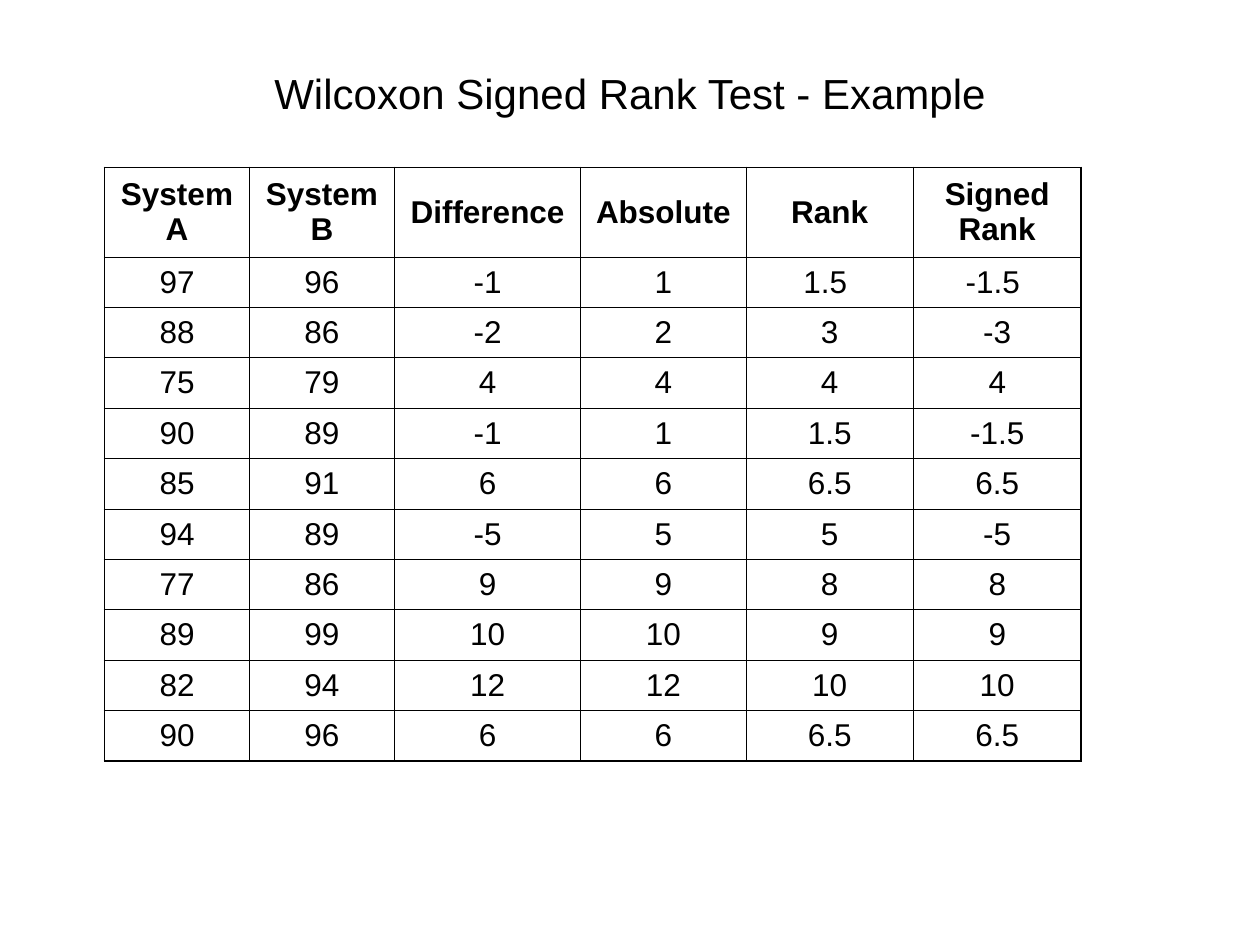
from dataclasses import dataclass

from lxml.etree import SubElement
from pptx import Presentation
from pptx.dml.color import RGBColor as RGB
from pptx.enum.text import MSO_ANCHOR as ANCHOR, PP_ALIGN as ALIGN
from pptx.oxml.ns import qn
from pptx.util import Inches, Pt


@dataclass(frozen=True)
class Theme:
    font: str = "Arial"
    ink: str = "000000"
    paper: str = "FFFFFF"
    title_size: float = 24
    cell_size: float = 18
    cell_gap: float = 4.5
    outer_line: float = 1.08
    inner_line: float = 0.45


def write(tf, text, theme, size, bold=False, before=0):
    """Put one centred paragraph into a text frame."""
    p = tf.paragraphs[0]
    p.alignment = ALIGN.CENTER
    p.space_before = Pt(before)
    r = p.add_run()
    r.text = text
    r.font.name = theme.font
    r.font.size = Pt(size)
    r.font.bold = bold
    r.font.color.rgb = RGB.from_string(theme.ink)


class Deck:
    def __init__(self, theme, width, height):
        self.theme = theme
        self.prs = Presentation()
        self.prs.slide_width = Inches(width)
        self.prs.slide_height = Inches(height)

    def slide(self):
        self.s = self.prs.slides.add_slide(self.prs.slide_layouts[5])
        fill = self.s.background.fill
        fill.solid()
        fill.fore_color.rgb = RGB.from_string(self.theme.paper)

    def title(self, text, left, top, width, height):
        sp = self.s.shapes.title
        sp.left, sp.top = Inches(left), Inches(top)
        sp.width, sp.height = Inches(width), Inches(height)
        tf = sp.text_frame
        tf.word_wrap = True
        tf.vertical_anchor = ANCHOR.MIDDLE
        write(tf, text, self.theme, self.theme.title_size)

    def border(self, cell, side, width):
        ln = SubElement(cell._tc.get_or_add_tcPr(), qn(f"a:ln{side}"), w=str(Pt(width)))
        fill = SubElement(ln, qn("a:solidFill"))
        SubElement(fill, qn("a:srgbClr"), val=self.theme.ink)

    def table(self, rows, left, top, widths, heights):
        t = self.theme
        frame = self.s.shapes.add_table(
            len(rows), len(widths), Inches(left), Inches(top),
            Inches(sum(widths)), Inches(sum(heights)))
        table = frame.table
        table.horz_banding = False
        for col, width in zip(table.columns, widths):
            col.width = Inches(width)
        for row, height in zip(table.rows, heights):
            row.height = Inches(height)
        last_row, last_col = len(rows) - 1, len(widths) - 1
        for i, values in enumerate(rows):
            for j, text in enumerate(values):
                cell = table.cell(i, j)
                cell.vertical_anchor = ANCHOR.MIDDLE
                write(cell.text_frame, text, t, t.cell_size, bold=i == 0, before=t.cell_gap)
                # Heavier lines on the outer edge only
                edges = {"L": j == 0, "R": j == last_col, "T": i == 0, "B": i == last_row}
                for side, outer in edges.items():
                    self.border(cell, side, t.outer_line if outer else t.inner_line)
                cell.fill.background()


deck = Deck(Theme(), 10, 7.5)
deck.slide()

# Title
deck.title("Wilcoxon Signed Rank Test - Example", 0.5, 0.3, 9, 0.87)

# Paired scores and their ranks
rows = [
    ("System A", "System B", "Difference", "Absolute", "Rank", "Signed Rank"),
    ("97", "96", "-1", "1", "1.5 ", "-1.5 "),
    ("88", "86", "-2", "2", "3", "-3"),
    ("75", "79", "4", "4", "4", "4"),
    ("90", "89", "-1", "1", "1.5", "-1.5"),
    ("85", "91", "6", "6", "6.5", "6.5"),
    ("94", "89", "-5", "5", "5", "-5"),
    ("77", "86", "9", "9", "8", "8"),
    ("89", "99", "10", "10", "9", "9"),
    ("82", "94", "12", "12", "10", "10"),
    ("90", "96", "6", "6", "6.5", "6.5"),
]
widths = [1.15, 1.15, 1.48, 1.31, 1.33, 1.33]
heights = [0.71] + [0.4] * (len(rows) - 1)
deck.table(rows, 0.83, 1.33, widths, heights)

deck.prs.save("out.pptx")
